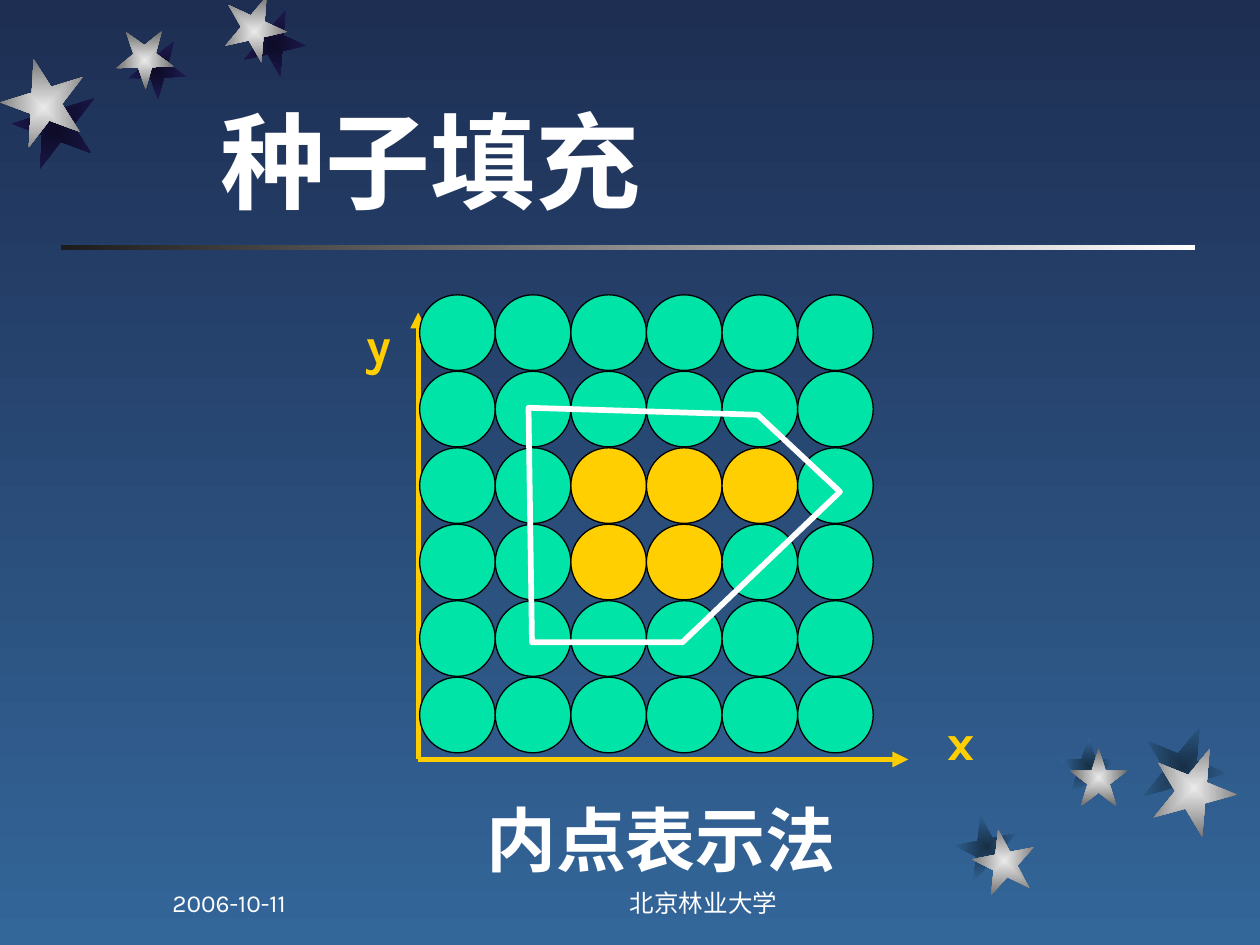
from typing import Any, NamedTuple

from lxml import etree
from pptx import Presentation
from pptx.dml.color import RGBColor
from pptx.enum.shapes import MSO_CONNECTOR, MSO_SHAPE
from pptx.enum.text import MSO_ANCHOR, MSO_AUTO_SIZE, PP_ALIGN
from pptx.oxml.ns import qn
from pptx.util import Pt

STAR, RECT, OVAL = MSO_SHAPE.STAR_5_POINT, MSO_SHAPE.RECTANGLE, MSO_SHAPE.OVAL
LINE = MSO_CONNECTOR.STRAIGHT
TOP, BASE = MSO_ANCHOR.TOP, MSO_ANCHOR.BOTTOM
LEFT, MID = PP_ALIGN.LEFT, PP_ALIGN.CENTER
GROW, FIXED = MSO_AUTO_SIZE.SHAPE_TO_FIT_TEXT, MSO_AUTO_SIZE.NONE

WHITE = RGBColor(0xFF, 0xFF, 0xFF)
BLACK = RGBColor(0, 0, 0)
COAL = RGBColor(0x1C, 0x1C, 0x1C)
NAVY = RGBColor(0x1E, 0x2E, 0x53)
BLUE = RGBColor(0x33, 0x66, 0x99)
GREEN = RGBColor(0x00, 0xE4, 0xA8)
GOLD = RGBColor(0xFF, 0xCF, 0x01)
AMBER = RGBColor(0xFF, 0xCC, 0x00)
SILVER = (RGBColor(0xEA, 0xEA, 0xEA), RGBColor(0x6B, 0x6B, 0x6B))
VIOLET = (RGBColor(0x0D, 0x0B, 0x26), RGBColor(0x1E, 0x1A, 0x53))
OCEAN = (RGBColor(0x17, 0x2F, 0x46), BLUE)


class Star(NamedTuple):
    x: float
    y: float
    size: float
    turn: float
    dx: float  # shadow offset
    dy: float


class Label(NamedTuple):
    text: str
    box: tuple[float, float, float, float]
    size: float
    color: RGBColor = WHITE
    bold: bool = True
    anchor: Any = TOP
    align: Any = LEFT
    wrap: bool = True
    fit: Any = FIXED


def apply(item: Any, values: dict[str, Any]) -> None:
    for key, value in values.items():
        setattr(item, key, value)


def blend(fill: Any, colors: tuple[RGBColor, RGBColor], angle: float = 0) -> None:
    fill.gradient()
    fill.gradient_angle = angle
    for stop, color in zip(fill.gradient_stops, colors):
        stop.color.rgb = color


def add_form(slide: Any, kind: Any, x: float, y: float, w: float, h: float) -> Any:
    form = slide.shapes.add_shape(kind, Pt(x), Pt(y), Pt(w), Pt(h))
    form.shadow.inherit = False
    form.line.fill.background()
    return form


def add_star(slide: Any, x: float, y: float, size: float, turn: float,
             colors: tuple[RGBColor, RGBColor]) -> None:
    star = add_form(slide, STAR, x, y, size, size)
    star.rotation = turn
    blend(star.fill, colors)
    # Swap the linear gradient for one that starts at the centre
    grad = star.element.spPr.find(qn("a:gradFill"))
    grad.remove(grad.find(qn("a:lin")))
    glow = etree.SubElement(grad, qn("a:path"), {"path": "rect"})
    sides = {side: "50000" for side in "ltrb"}
    etree.SubElement(glow, qn("a:fillToRect"), sides)


def add_stars(slide: Any, stars: list[Star], shade: tuple[RGBColor, RGBColor]) -> None:
    for s in stars:
        add_star(slide, s.x + s.dx, s.y + s.dy, s.size, s.turn, shade)
    for s in stars:
        add_star(slide, s.x, s.y, s.size, s.turn, SILVER)


def add_label(slide: Any, label: Label) -> None:
    box = slide.shapes.add_textbox(*map(Pt, label.box))
    frame = box.text_frame
    apply(frame, {"word_wrap": label.wrap, "auto_size": label.fit,
                  "vertical_anchor": label.anchor})
    para = frame.paragraphs[0]
    para.alignment = label.align
    run = para.add_run()
    run.text = label.text
    apply(run.font, {"name": "Karla", "size": Pt(label.size), "bold": label.bold})
    run.font.color.rgb = label.color


def add_axis(slide: Any, start: tuple[float, float], end: tuple[float, float]) -> None:
    axis = slide.shapes.add_connector(LINE, *map(Pt, start + end))
    axis.line.color.rgb = AMBER
    axis.line.width = Pt(3)
    props = axis.element.spPr
    etree.SubElement(props.find(qn("a:ln")), qn("a:tailEnd"), {"type": "triangle"})
    etree.SubElement(props, qn("a:effectLst"))


def add_dot(slide: Any, x: float, y: float, color: RGBColor) -> None:
    dot = add_form(slide, OVAL, x, y, DOT, DOT)
    dot.fill.solid()
    dot.fill.fore_color.rgb = color
    dot.line.color.rgb = BLACK
    dot.line.width = Pt(0.75)


def add_outline(slide: Any, points: list[tuple[float, float]]) -> None:
    pen = slide.shapes.build_freeform(*points[0], scale=Pt(1))
    pen.add_line_segments(points[1:], close=True)
    shape = pen.convert_to_shape()
    shape.shadow.inherit = False
    shape.fill.background()
    shape.line.color.rgb = WHITE
    shape.line.width = Pt(3.25)


UPPER = [Star(127.4, 0, 36, 167.3, 10.8, 7.9),
         Star(66.2, 18, 33.1, 178.3, 7, 5.8),
         Star(0.7, 37.4, 48.2, 200.3, 6.5, 12.2)]
LOWER = [Star(555.8, 473.8, 36, 349, -10.1, -7.9),
         Star(611.3, 427.7, 33.1, 0, -5.8, -6.5),
         Star(658.1, 426.2, 48.2, 22, -5.8, -12.2)]

LABELS = [
    Label("种子填充", (118.8, 45.4, 391.7, 85), 60, anchor=BASE),
    Label("内点表示法", (270.7, 451.4, 252, 59), 40),
    Label("x", (534.2, 403.2, 30.2, 41), 28, GOLD, wrap=False, fit=GROW),
    Label("y", (202.3, 176.4, 30.2, 41), 28, GOLD, wrap=False, fit=GROW),
    Label("北京林业大学", (288, 491.8, 228.2, 36), 14, bold=False,
          anchor=BASE, align=MID),
    Label("2006-10-11", (91.4, 491.8, 149.8, 36), 14, bold=False, anchor=BASE),
]

# Grid of pixels: G is filled
DOT, STEP_X, STEP_Y = 43.2, 43.2, 43.7
GRID_X, GRID_Y = 239.8, 168.5
ROWS = ["......", "......", "..GGG.", "..GG..", "......", "......"]
ORIGIN = (239, 434)
AREA = [(302.4, 233.3), (303.8, 367.2), (390.2, 367.2),
        (479.5, 280.8), (433.4, 236.9)]


def main() -> None:
    deck = Presentation()
    apply(deck, {"slide_width": Pt(720), "slide_height": Pt(540)})
    slide = deck.slides.add_slide(deck.slide_layouts[6])

    # Backdrop, title rule and stars
    blend(slide.background.fill, (NAVY, BLUE), 270)
    rule = add_form(slide, RECT, 34.8, 140.2, 648, 2.4)
    blend(rule.fill, (WHITE, COAL), 180)
    add_stars(slide, UPPER, VIOLET)
    add_stars(slide, LOWER, OCEAN)

    # Axes and wording
    add_axis(slide, ORIGIN, (239, 178.6))
    add_axis(slide, ORIGIN, (519, 434))
    for label in LABELS:
        add_label(slide, label)

    # Pixels and the area to fill
    for row, marks in enumerate(ROWS):
        for col, mark in enumerate(marks):
            add_dot(slide, GRID_X + col * STEP_X, GRID_Y + row * STEP_Y,
                    GOLD if mark == "G" else GREEN)
    add_outline(slide, AREA)

    deck.save("out.pptx")


if __name__ == "__main__":
    main()
